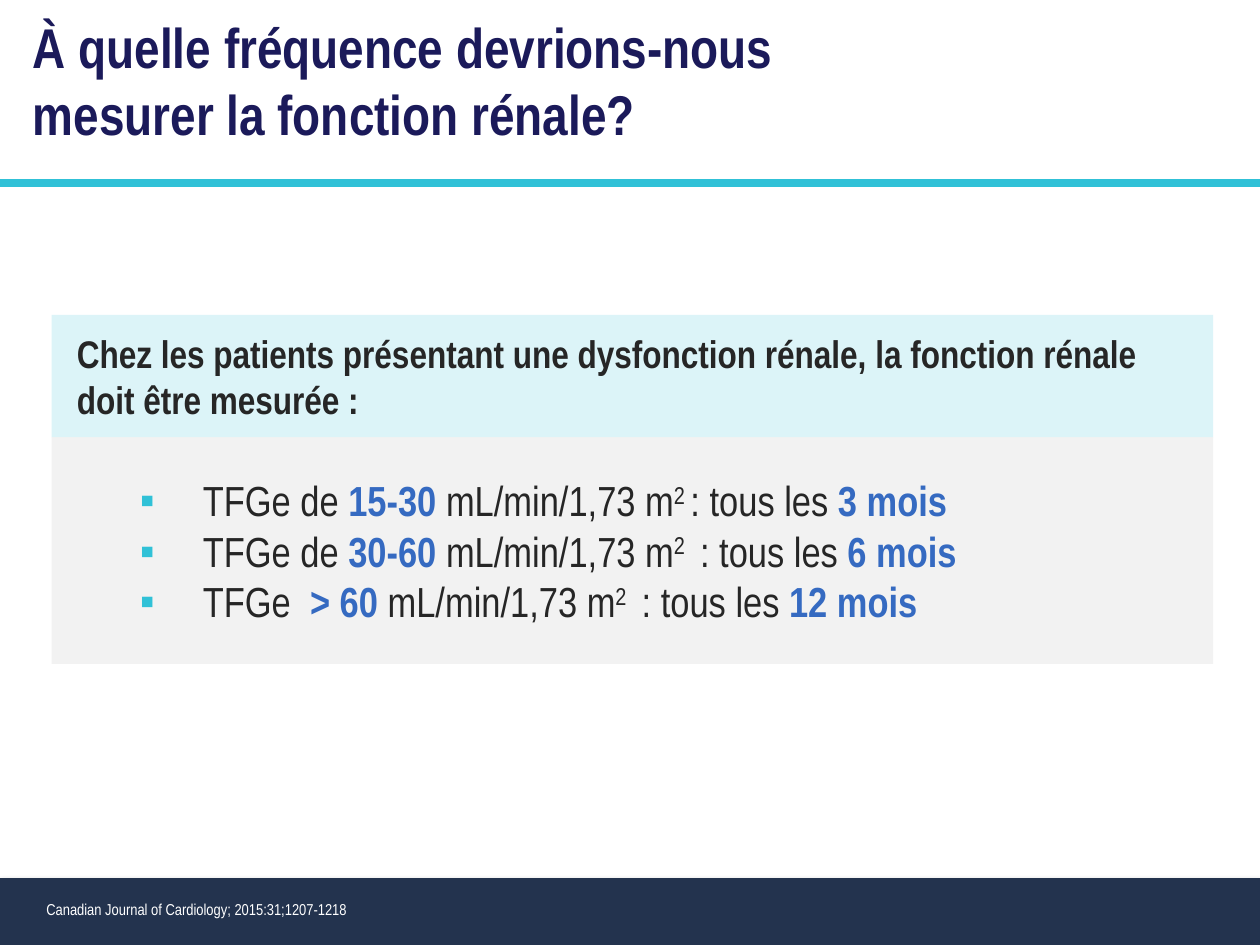
from lxml.etree import SubElement
from pptx import Presentation
from pptx.dml.color import RGBColor
from pptx.enum.shapes import MSO_CONNECTOR, MSO_SHAPE
from pptx.enum.text import MSO_ANCHOR, MSO_AUTO_SIZE, PP_ALIGN
from pptx.oxml import parse_xml
from pptx.oxml.ns import nsdecls, qn
from pptx.util import Pt

TITLE = "À quelle fréquence devrions-nous mesurer la fonction rénale?"
INTRO = ("Chez les patients présentant une dysfonction rénale, "
         "la fonction rénale doit être mesurée :")
INTERVALS = [
    ("TFGe de ", "15-30 ", "2 ", ": tous les ", "3 mois"),
    ("TFGe de ", "30-60 ", "2 ", " : tous les ", "6 mois"),
    ("TFGe  ", "> 60 ", "2 ", " : tous les ", "12 mois"),
]
UNIT = "mL/min/1,73 m"
CITATION = "Canadian Journal of Cardiology; 2015:31;1207-1218"

FONT = "Arial Narrow"
NAVY, TEAL, BLUE, INK, WHITE = "1B1A5A", "30C1D7", "356AC1", "262626", "FFFFFF"
WIDTH, HEIGHT = 720, 540
FOOTER_TOP = 501.8
CARD_LEFT, CARD_TOP, CARD_WIDTH = 29.5, 180, 663.8
INTRO_HEIGHT, LIST_HEIGHT = 69.8, 129.6
CARD_INSET = 14.4
SHADOW = (f'<a:effectLst {nsdecls("a")}><a:outerShdw blurRad="{Pt(3.1)}" dist="{Pt(1.8)}" '
          'dir="5400000" rotWithShape="0"><a:srgbClr val="000000"><a:alpha val="35000"/>'
          '</a:srgbClr></a:outerShdw></a:effectLst>')


def colour(target, value):
    """Give a fill, line fill or font a solid colour."""
    if hasattr(target, "solid"):
        target.solid()
        target.fore_color.rgb = RGBColor.from_string(value)
    else:
        target.color.rgb = RGBColor.from_string(value)


def place(shape, left, top, width, height):
    """Set a shape's position and size in points."""
    shape.left, shape.top = Pt(left), Pt(top)
    shape.width, shape.height = Pt(width), Pt(height)


def style(paragraph, size, value, bold=False):
    """Format a whole left-aligned paragraph."""
    paragraph.alignment = PP_ALIGN.LEFT
    paragraph.space_before = Pt(0)
    font = paragraph.font
    font.name, font.size, font.bold = FONT, Pt(size), bold
    colour(font, value)


def set_frame(shape, anchor, inset=None):
    """Prepare a wrapping text frame and return it."""
    frame = shape.text_frame
    frame.word_wrap, frame.auto_size = True, MSO_AUTO_SIZE.NONE
    frame.vertical_anchor = anchor
    if inset is not None:
        frame.margin_left = frame.margin_right = Pt(inset)
        frame.margin_top = frame.margin_bottom = Pt(inset)
    return frame


def add_box(slide, fill, *bounds):
    """Add a plain filled rectangle."""
    box = slide.shapes.add_shape(MSO_SHAPE.RECTANGLE, *map(Pt, bounds))
    box.shadow.inherit = False
    colour(box.fill, fill)
    box.line.fill.background()
    return box


def add_bullet(paragraph):
    """Give a paragraph a hanging teal square."""
    properties = paragraph._p.get_or_add_pPr()
    properties.set("marL", str(Pt(72)))
    properties.set("indent", str(Pt(-36)))
    bullet_colour = SubElement(properties, qn("a:buClr"))
    SubElement(bullet_colour, qn("a:srgbClr")).set("val", TEAL)
    SubElement(properties, qn("a:buFont")).set("typeface", "Arial")
    SubElement(properties, qn("a:buChar")).set("char", "▪")


def write_interval(paragraph, interval):
    """Write one measuring interval with its emphasis and exponent."""
    paragraph.level = 1
    add_bullet(paragraph)
    style(paragraph, 24, INK)
    lead, rate, exponent, link, delay = interval
    for text in (lead, rate, UNIT, exponent, link, delay):
        run = paragraph.add_run()
        run.text = text
        if text in (rate, delay):
            run.font.bold = True
            colour(run.font, BLUE)
        elif text == exponent:
            run._r.get_or_add_rPr().set("baseline", "30000")


def main():
    """Build and save the slide."""
    deck = Presentation()
    deck.slide_width, deck.slide_height = Pt(WIDTH), Pt(HEIGHT)
    slide = deck.slides.add_slide(deck.slide_layouts[1])
    title, schedule = slide.placeholders

    footer = add_box(slide, "23334E", 0, FOOTER_TOP, WIDTH, HEIGHT - FOOTER_TOP)
    properties = footer._element.spPr
    properties.replace(properties.find(qn("a:effectLst")), parse_xml(SHADOW))

    place(title, 11.5, 3.6, 515.5, 123.8)
    heading = set_frame(title, MSO_ANCHOR.TOP)
    heading.text = TITLE
    style(heading.paragraphs[0], 32, NAVY, True)

    rule = slide.shapes.add_connector(
        MSO_CONNECTOR.STRAIGHT, Pt(0), Pt(104.4), Pt(WIDTH), Pt(104.4))
    colour(rule.line.fill, TEAL)
    rule.line.width = Pt(4.5)
    SubElement(rule._element.spPr, qn("a:effectLst"))

    citation = slide.shapes.add_textbox(Pt(19.4), Pt(510.5), Pt(342), Pt(18))
    source = set_frame(citation, MSO_ANCHOR.TOP)
    source.text = CITATION
    style(source.paragraphs[0], 9, WHITE)

    intro = add_box(slide, "DCF4F8", CARD_LEFT, CARD_TOP, CARD_WIDTH, INTRO_HEIGHT)
    statement = set_frame(intro, MSO_ANCHOR.MIDDLE, CARD_INSET)
    statement.text = INTRO
    style(statement.paragraphs[0], 22, INK, True)

    place(schedule, CARD_LEFT, CARD_TOP + INTRO_HEIGHT, CARD_WIDTH, LIST_HEIGHT)
    colour(schedule.fill, "F2F2F2")
    rows = set_frame(schedule, MSO_ANCHOR.MIDDLE, CARD_INSET)
    for index, interval in enumerate(INTERVALS):
        write_interval(rows.add_paragraph() if index else rows.paragraphs[0], interval)

    deck.save("out.pptx")


if __name__ == "__main__":
    main()
